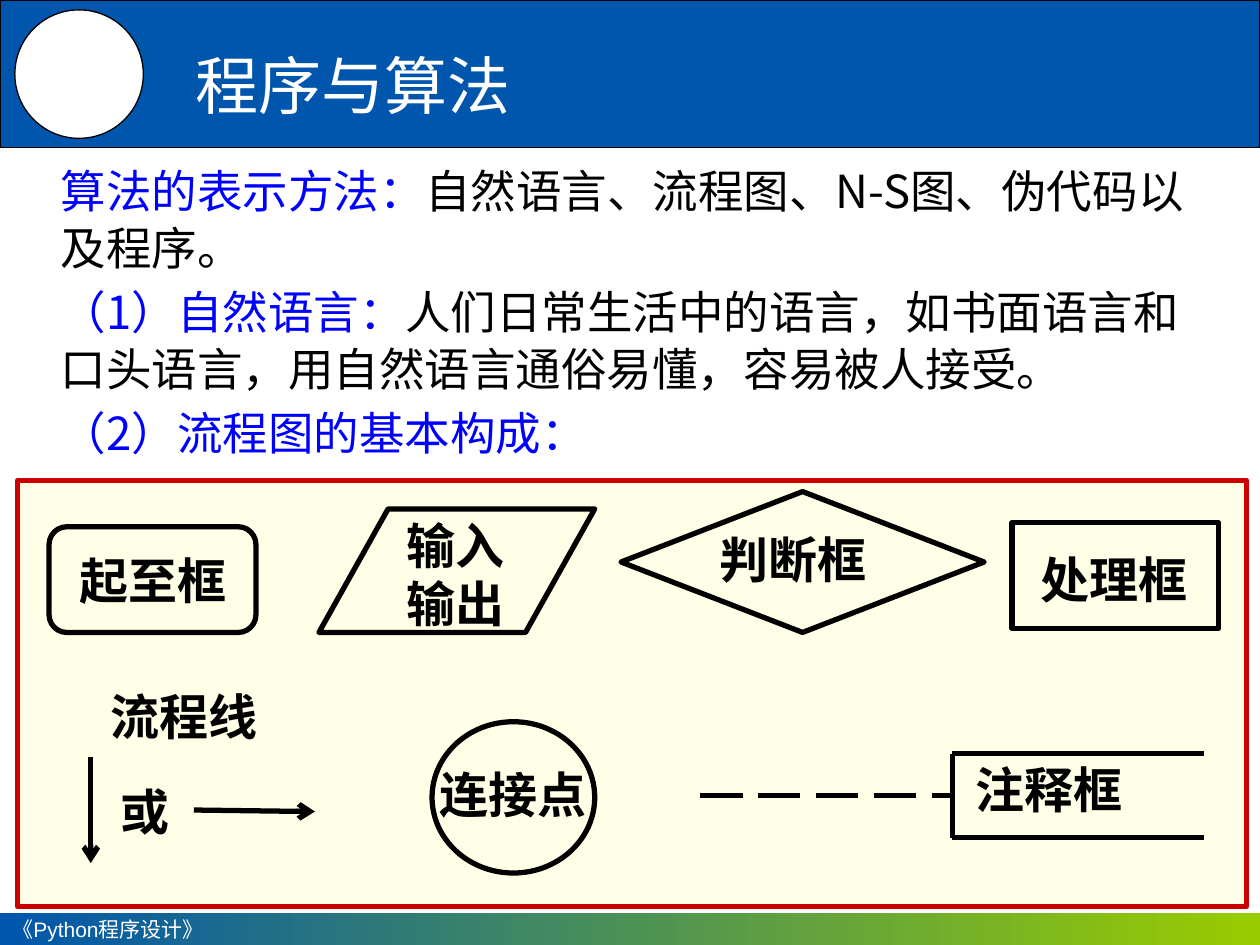
from lxml.etree import SubElement
from pptx import Presentation
from pptx.dml.color import RGBColor
from pptx.enum.dml import MSO_LINE
from pptx.enum.shapes import MSO_CONNECTOR, MSO_SHAPE as Kind
from pptx.enum.text import MSO_ANCHOR as Anchor, MSO_AUTO_SIZE as Fit, PP_ALIGN as Align
from pptx.oxml.ns import qn
from pptx.util import Cm, Pt

BLUE = RGBColor(0x00, 0x56, 0xAC)
GREEN = RGBColor(0x99, 0xCC, 0x00)
WHITE = RGBColor(0xFF, 0xFF, 0xFF)
BLACK = RGBColor(0x00, 0x00, 0x00)
RED = RGBColor(0xCC, 0x00, 0x00)
CREAM = RGBColor(0xFF, 0xFF, 0xE7)
KEY = RGBColor(0x00, 0x00, 0xFF)
SANS = "Noto Sans CJK SC"

# Flowchart symbols: kind, left, top, width, height in cm
NODES = [
    (Kind.FLOWCHART_ALTERNATE_PROCESS, 0.99, 10.62, 4.17, 2.13),
    (Kind.PARALLELOGRAM, 6.43, 10.26, 5.56, 2.49),
    (Kind.FLOWCHART_DECISION, 12.52, 9.91, 7.32, 2.84),
    (Kind.RECTANGLE, 20.4, 10.54, 4.17, 2.13),
    (Kind.FLOWCHART_CONNECTOR, 8.71, 14.55, 3.28, 3.05),
]
# Labels: text, left, top, width in cm
LABELS = [
    ("起至框", 1.35, 10.97, 3.53),
    ("输入输出", 7.95, 10.26, 3.12),
    ("判断框", 14.25, 10.54, 3.84),
    ("处理框", 20.73, 10.95, 4.17),
    ("或", 2.18, 15.62, 2.08),
    ("流程线", 1.98, 13.72, 4.52),
    ("连接点", 8.61, 15.29, 3.61),
    ("注释框", 19.41, 15.19, 5.28),
]
BODY = [
    ("算法的表示方法：", "自然语言、流程图、N-S图、伪代码以及程序。"),
    ("（1）自然语言：", "人们日常生活中的语言，如书面语言和口头语言，用自然语言通俗易懂，容易被人接受。"),
    ("（2）流程图的基本构成：", ""),
]


def add_run(para, text, size, color, face=SANS, bold=False):
    run = para.add_run()
    run.text = text
    font = run.font
    font.size, font.bold, font.name = Pt(size), bold, face
    font.color.rgb = color
    SubElement(run._r.get_or_add_rPr(), qn("a:ea"), typeface=face)


def add_form(slide, kind, x, y, w, h, fill=None, line=BLACK, width=3):
    form = slide.shapes.add_shape(kind, Cm(x), Cm(y), Cm(w), Cm(h))
    form.shadow.inherit = False
    if fill is None:
        form.fill.background()
    else:
        form.fill.solid()
        form.fill.fore_color.rgb = fill
    if line is None:
        form.line.fill.background()
    else:
        form.line.color.rgb = line
        form.line.width = Pt(width)
    return form


def add_line(slide, x1, y1, x2, y2, arrow=False, dash=None):
    link = slide.shapes.add_connector(
        MSO_CONNECTOR.STRAIGHT, Cm(x1), Cm(y1), Cm(x2), Cm(y2))
    link.line.color.rgb = BLACK
    link.line.width = Pt(3)
    if dash:
        link.line.dash_style = dash
    if arrow:
        SubElement(link.line._get_or_add_ln(), qn("a:tailEnd"), type="arrow")
    SubElement(link._element.spPr, qn("a:effectLst"))


def add_label(slide, text, x, y, w):
    box = slide.shapes.add_textbox(Cm(x), Cm(y), Cm(w), Cm(1.45))
    frame = box.text_frame
    frame.word_wrap = True
    add_run(frame.paragraphs[0], text, 28, BLACK, "Cabin", True)


def place(slide, hold, x, y, w, h, anchor):
    """Set a placeholder in its place, in front of what is drawn so far."""
    hold.left, hold.top, hold.width, hold.height = Cm(x), Cm(y), Cm(w), Cm(h)
    slide.shapes._spTree.append(hold._element)
    frame = hold.text_frame
    frame.auto_size = Fit.NONE
    frame.word_wrap = True
    frame.vertical_anchor = anchor
    return frame


def add_bands(slide):
    add_form(slide, Kind.RECTANGLE, 0, 0, 25.4, 2.97, BLUE, width=0.75)
    foot = add_form(slide, Kind.RECTANGLE, 0, 18.41, 25.4, 0.64, line=None)
    foot.fill.gradient()
    foot.fill.gradient_angle = 0
    for stop, color, pos in zip(foot.fill.gradient_stops, (BLUE, GREEN), (0, 1)):
        stop.color.rgb = color
        stop.position = pos
    frame = foot.text_frame
    frame.word_wrap = True
    frame.vertical_anchor = Anchor.MIDDLE
    para = frame.paragraphs[0]
    para.alignment = Align.LEFT
    add_run(para, "《Python程序设计》", 12, WHITE, "Arial")
    add_form(slide, Kind.OVAL, 0.3, 0.2, 2.59, 2.59, WHITE, width=0.75)


def add_body(slide, hold):
    frame = place(slide, hold, 0.97, 3.1, 23.52, 6.2, Anchor.TOP)
    for i, (head, rest) in enumerate(BODY):
        para = frame.paragraphs[0] if i == 0 else frame.add_paragraph()
        props = para._p.get_or_add_pPr()
        props.set("marL", "0")
        props.set("indent", "0")
        SubElement(props, qn("a:buNone"))
        para.alignment = Align.LEFT
        para.line_spacing = Pt(32.6)
        para.space_before = Pt(4 if i else 0)
        add_run(para, head, 26, KEY)
        if rest:
            add_run(para, rest, 26, BLACK)


def add_chart(slide):
    add_form(slide, Kind.RECTANGLE, 0.36, 9.68, 24.77, 8.59, CREAM, RED)
    for kind, *area in NODES:
        node = add_form(slide, kind, *area)
        if kind == Kind.PARALLELOGRAM:
            node.adjustments[0] = 0.56
    # Flow lines
    add_line(slide, 1.83, 15.27, 1.83, 17.4, arrow=True)
    add_line(slide, 3.91, 16.33, 6.35, 16.36, arrow=True)
    # Note frame with its dashed lead
    left, right, top, base = 19.2, 24.28, 15.19, 16.89
    add_line(slide, 14.12, 16.03, left, 16.03, dash=MSO_LINE.LONG_DASH)
    add_line(slide, left, top, left, base)
    for y in (top, base):
        add_line(slide, left, y, right, y)
    for label in LABELS:
        add_label(slide, *label)


def main():
    deck = Presentation()
    deck.slide_width, deck.slide_height = Cm(25.4), Cm(19.05)
    slide = deck.slides.add_slide(deck.slide_layouts[1])
    title, body = slide.placeholders
    add_bands(slide)
    add_body(slide, body)
    add_chart(slide)
    # Title
    para = place(slide, title, 3.68, 0.74, 18.67, 1.9, Anchor.MIDDLE).paragraphs[0]
    para.alignment = Align.LEFT
    add_run(para, "程序与算法", 36, WHITE)
    deck.save("out.pptx")


if __name__ == "__main__":
    main()
